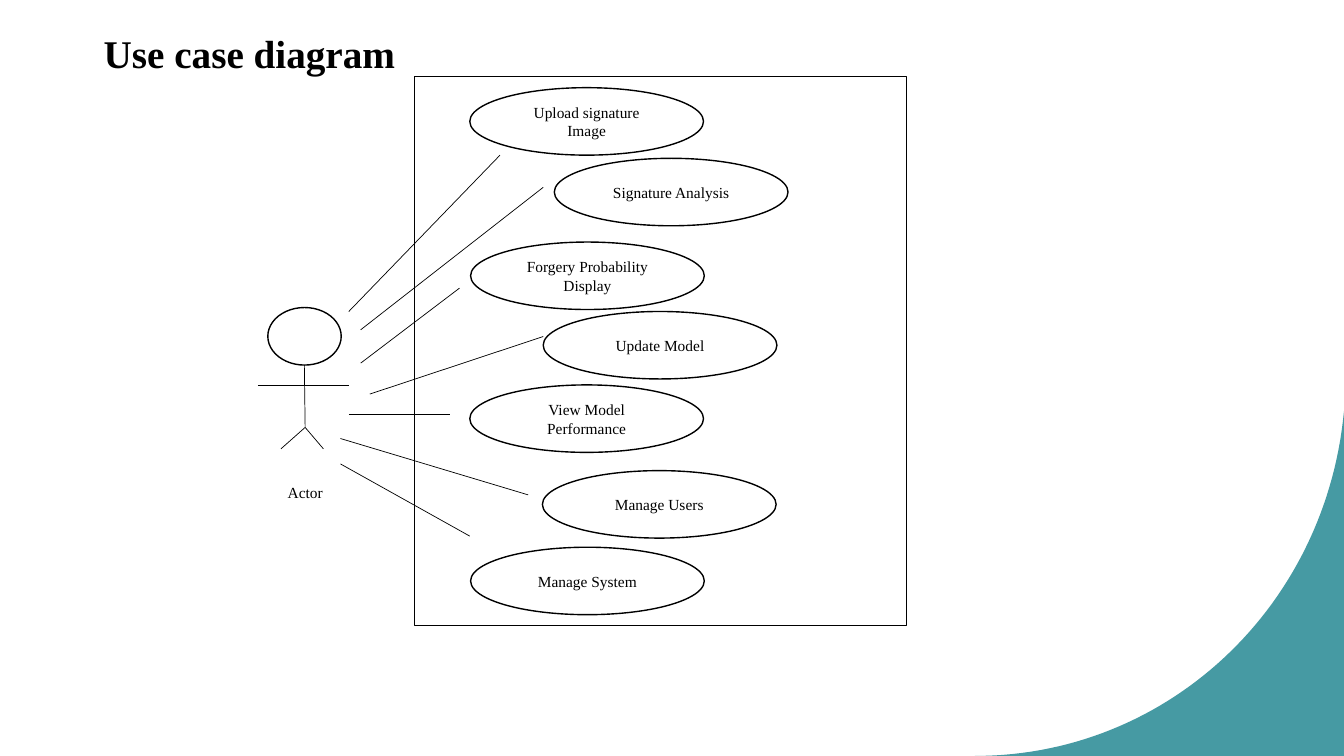
import collections

import lxml.etree
import pptx
import pptx.dml.color
import pptx.enum.shapes
import pptx.enum.text
import pptx.oxml.ns
import pptx.util

Cm = pptx.util.Cm
Pt = pptx.util.Pt
Box = collections.namedtuple("Box", "left top width height")
SHAPE = pptx.enum.shapes.MSO_SHAPE
ALIGN = pptx.enum.text.PP_ALIGN
ANCHOR = pptx.enum.text.MSO_ANCHOR

BLACK = "000000"
WHITE = "FFFFFF"
TEAL = "18818C"

PAGE = Box(0, 0, 33.87, 19.05)
TITLE = Box(2.36, 0.61, 16.94, 1.45)
CORNER = Box(24.57, 10.37, 9.3, 8.68)
ACTOR = Box(6.5, 7.75, 2.29, 5.05)
SYSTEM = Box(10.44, 1.93, 12.4, 13.84)

USE_CASES = [
    ("Upload signature Image", 1.4, 0.28),
    ("Signature Analysis", 3.53, 2.06),
    ("Forgery Probability Display", 1.42, 4.17),
    ("Update Model", 3.25, 5.92),
    ("View Model Performance", 1.4, 7.77),
    ("Manage Users", 3.23, 9.93),
    ("Manage System", 1.42, 11.86),
]
LINKS = [
    ((2.29, 0.1), (2.16, 1.98)),
    ((2.59, 0.56), (3.25, 2.79)),
    ((2.59, 1.4), (1.14, 5.33)),
    ((2.82, 2.18), (3.25, 6.55)),
    ((2.29, 2.69), (0.89, 8.51)),
    ((2.08, 3.3), (2.87, 10.54)),
    ((2.08, 3.94), (1.4, 11.58)),
]


def color(value):
    return pptx.dml.color.RGBColor.from_string(value)


def write(shape, text, size=11, bold=False, align=ALIGN.CENTER, anchor=ANCHOR.MIDDLE):
    frame = shape.text_frame
    frame.word_wrap = True
    frame.vertical_anchor = anchor
    paragraph = frame.paragraphs[0]
    paragraph.alignment = align
    run = paragraph.add_run()
    run.text = text
    run.font.name = "Times New Roman"
    run.font.size = Pt(size)
    run.font.bold = bold
    run.font.color.rgb = color(BLACK)


def place(box, x, y):
    return box.left + x, box.top + y


def add_outlined(shapes, kind, left, top, width, height, line=BLACK):
    shape = shapes.add_shape(kind, Cm(left), Cm(top), Cm(width), Cm(height))
    shape.shadow.inherit = False
    shape.fill.solid()
    shape.fill.fore_color.rgb = color(WHITE)
    shape.line.color.rgb = color(line)
    shape.line.width = Pt(1)
    return shape


def add_line(shapes, start, end):
    connector = shapes.add_connector(
        pptx.enum.shapes.MSO_CONNECTOR.STRAIGHT, *map(Cm, start + end)
    )
    connector.line.color.rgb = color(BLACK)
    connector.line.width = Pt(0.5)
    properties = connector._element.spPr
    lxml.etree.SubElement(properties, pptx.oxml.ns.qn("a:effectLst"))


def draw_title(slide, box):
    title = slide.shapes.title
    title.left, title.top, title.width, title.height = map(Cm, box)
    title.text_frame.auto_size = pptx.enum.text.MSO_AUTO_SIZE.NONE
    write(title, "Use case diagram", size=28, bold=True, align=ALIGN.LEFT, anchor=ANCHOR.TOP)


def draw_corner(slide, box, steps=60):
    def curve_point(t):
        u = 1 - t
        x = 3 * u * t * t * 0.95 + 3 * u * u * t * 0.52 + t ** 3
        y = u ** 3 + 3 * u * u * t + 3 * u * t * t * 0.57
        return place(box, x * box.width, y * box.height)

    points = [curve_point(step / steps) for step in range(steps + 1)]
    points.append(place(box, box.width, box.height))
    points = [(Cm(x), Cm(y)) for x, y in points]
    builder = slide.shapes.build_freeform(*points[0])
    builder.add_line_segments(points[1:], close=True)
    corner = builder.convert_to_shape()
    corner.shadow.inherit = False
    corner.line.fill.background()
    corner.fill.solid()
    corner.fill.fore_color.rgb = color(TEAL)
    fill = corner._element.spPr.find(pptx.oxml.ns.qn("a:solidFill"))
    lxml.etree.SubElement(fill[0], pptx.oxml.ns.qn("a:alpha"), val="80000")


def draw_actor(slide, box):
    figure = slide.shapes.add_group_shape().shapes
    add_outlined(figure, SHAPE.OVAL, *place(box, 0.25, 0), 1.85, 1.45)
    hip = place(box, 1.19, 3.02)
    add_line(figure, place(box, 1.17, 1.45), hip)
    add_line(figure, place(box, 0, 1.96), place(box, box.width, 1.96))
    for foot in (0.58, 1.65):
        add_line(figure, hip, place(box, foot, 3.56))
    label = add_outlined(
        slide.shapes, SHAPE.RECTANGLE, *place(box, 0.05, 4.24), box.width, 0.81, line=WHITE
    )
    write(label, "Actor")


def draw_system(slide, box):
    add_outlined(slide.shapes, SHAPE.RECTANGLE, *box)
    for name, x, y in USE_CASES:
        oval = add_outlined(slide.shapes, SHAPE.OVAL, *place(box, x, y), 5.89, 1.7)
        write(oval, name)


def draw_links(slide, actor, system):
    for start, end in LINKS:
        add_line(slide.shapes, place(actor, *start), place(system, *end))


def main():
    presentation = pptx.Presentation()
    presentation.slide_width = Cm(PAGE.width)
    presentation.slide_height = Cm(PAGE.height)
    slide = presentation.slides.add_slide(presentation.slide_layouts[5])
    draw_corner(slide, CORNER)
    draw_title(slide, TITLE)
    draw_system(slide, SYSTEM)
    draw_actor(slide, ACTOR)
    draw_links(slide, ACTOR, SYSTEM)
    presentation.save("out.pptx")


if __name__ == "__main__":
    main()
